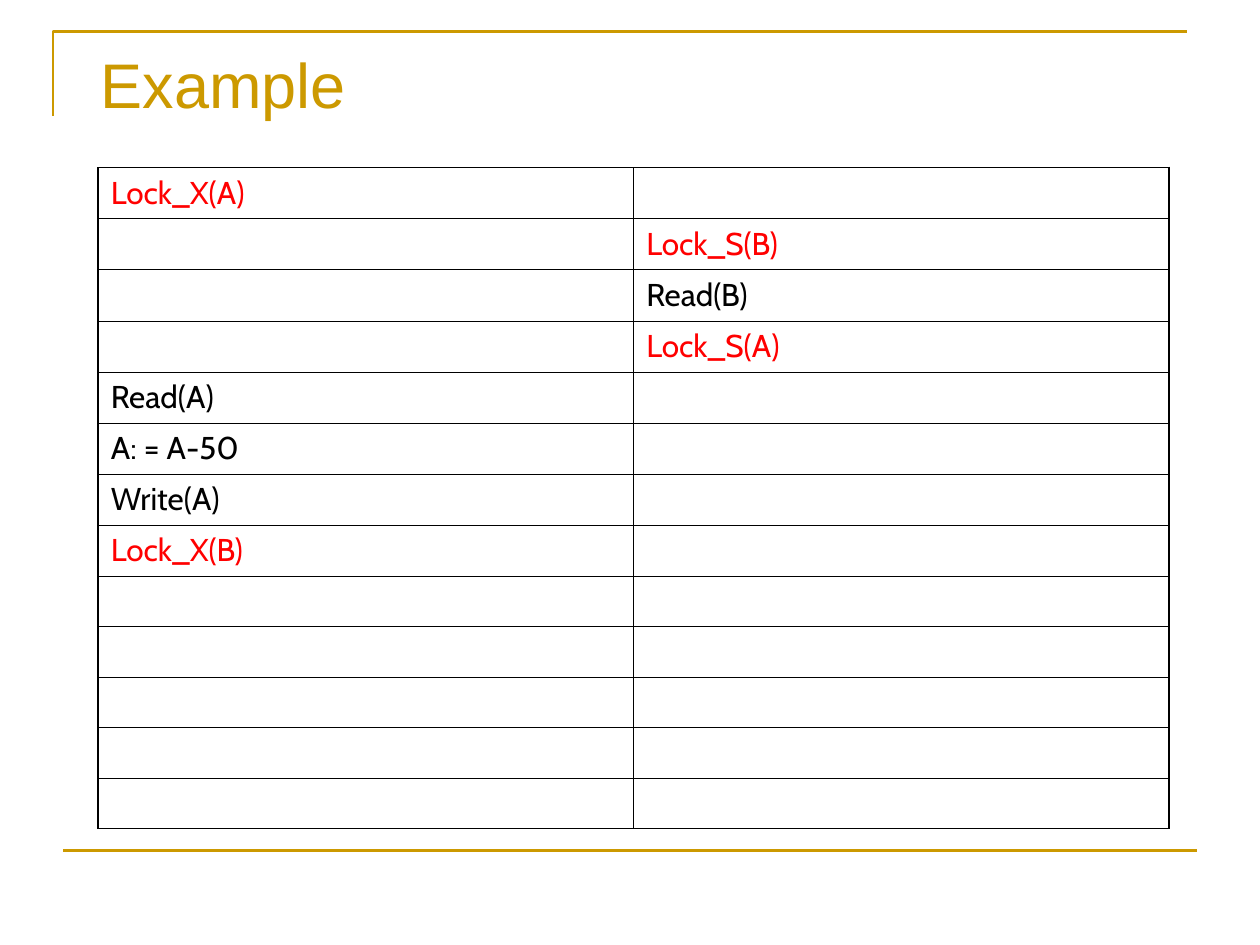
from lxml import etree
from pptx import Presentation
from pptx.dml.color import RGBColor
from pptx.enum.shapes import MSO_CONNECTOR
from pptx.enum.text import MSO_ANCHOR, PP_ALIGN
from pptx.oxml.ns import qn
from pptx.util import Inches, Pt

STRAIGHT = MSO_CONNECTOR.STRAIGHT
MIDDLE = MSO_ANCHOR.MIDDLE
TOP = MSO_ANCHOR.TOP
LEFT = PP_ALIGN.LEFT

GOLD = RGBColor(0xCC, 0x99, 0x00)
RED = RGBColor(0xFF, 0x00, 0x00)
BLACK = RGBColor(0x00, 0x00, 0x00)
WHITE = RGBColor(0xFF, 0xFF, 0xFF)

THIN, THICK = Pt(0.45), Pt(1.08)
ROW_COUNT, COLUMN_COUNT = 13, 2
OPERATIONS = {
    (0, 0): "Lock_X(A)",
    (1, 1): "Lock_S(B)",
    (2, 1): "Read(B)",
    (3, 1): "Lock_S(A)",
    (4, 0): "Read(A)",
    (5, 0): "A: = A-50",
    (6, 0): "Write(A)",
    (7, 0): "Lock_X(B)",
}


def format_font(font, name, size, color):
    for attribute, value in {"name": name, "size": Pt(size), "bold": False}.items():
        setattr(font, attribute, value)
    font.color.rgb = color


def add_border(cell, side, width):
    line = etree.SubElement(cell._tc.get_or_add_tcPr(), qn(f"a:ln{side}"), w=str(width))
    fill = etree.SubElement(line, qn("a:solidFill"))
    etree.SubElement(fill, qn("a:srgbClr"), val=str(BLACK))


presentation = Presentation()
presentation.slide_width = Inches(10)
presentation.slide_height = Inches(7.5)
slide = presentation.slides.add_slide(presentation.slide_layouts[5])

builder = slide.shapes.build_freeform(Inches(0.42), Inches(0.92))
builder.add_line_segments(
    [(Inches(0.42), Inches(0.25)), (Inches(9.42), Inches(0.25))], close=False
)
corner = builder.convert_to_shape()
corner.shadow.inherit = False
corner.fill.background()

footer_line = slide.shapes.add_connector(
    STRAIGHT, Inches(0.5), Inches(6.75), Inches(9.5), Inches(6.75)
)
etree.SubElement(footer_line._element.spPr, qn("a:effectLst"))
for shape in (corner, footer_line):
    shape.line.color.rgb = GOLD
    shape.line.width = Pt(1.5)

table_shape = slide.shapes.add_table(
    ROW_COUNT, COLUMN_COUNT, Inches(0.78), Inches(1.33), Inches(8.5), Inches(0.4 * ROW_COUNT)
)
table = table_shape.table
table.first_row = False
table.horz_banding = False

for row in range(ROW_COUNT):
    for column in range(COLUMN_COUNT):
        cell = table.cell(row, column)
        borders = {
            "L": THICK if column == 0 else THIN,
            "R": THICK if column == 1 else THIN,
            "T": THICK if (row, column) == (0, 1) else THIN,
            "B": THIN,
        }
        for side, width in borders.items():
            add_border(cell, side, width)
        cell.fill.solid()
        cell.fill.fore_color.rgb = WHITE
        paragraph = cell.text_frame.paragraphs[0]
        operation = OPERATIONS.get((row, column))
        if operation:
            paragraph.space_before = Pt(4.5)
            run = paragraph.add_run()
            run.text = operation
            format_font(run.font, "Cabin", 18, RED if operation.startswith("Lock") else BLACK)
        else:
            etree.SubElement(paragraph._p, qn("a:endParaRPr"), sz="1200")

title = slide.shapes.title
title_box = {
    "left": Inches(0.7),
    "top": Inches(0.31),
    "width": Inches(8.67),
    "height": Inches(0.7),
}
for attribute, value in title_box.items():
    setattr(title, attribute, value)
title.text_frame.text = "Example"
title.text_frame.vertical_anchor = TOP
title.text_frame.word_wrap = True
title_paragraph = title.text_frame.paragraphs[0]
title_paragraph.alignment = LEFT
format_font(title_paragraph.runs[0].font, "Arial", 36, GOLD)

presentation.save("out.pptx")
